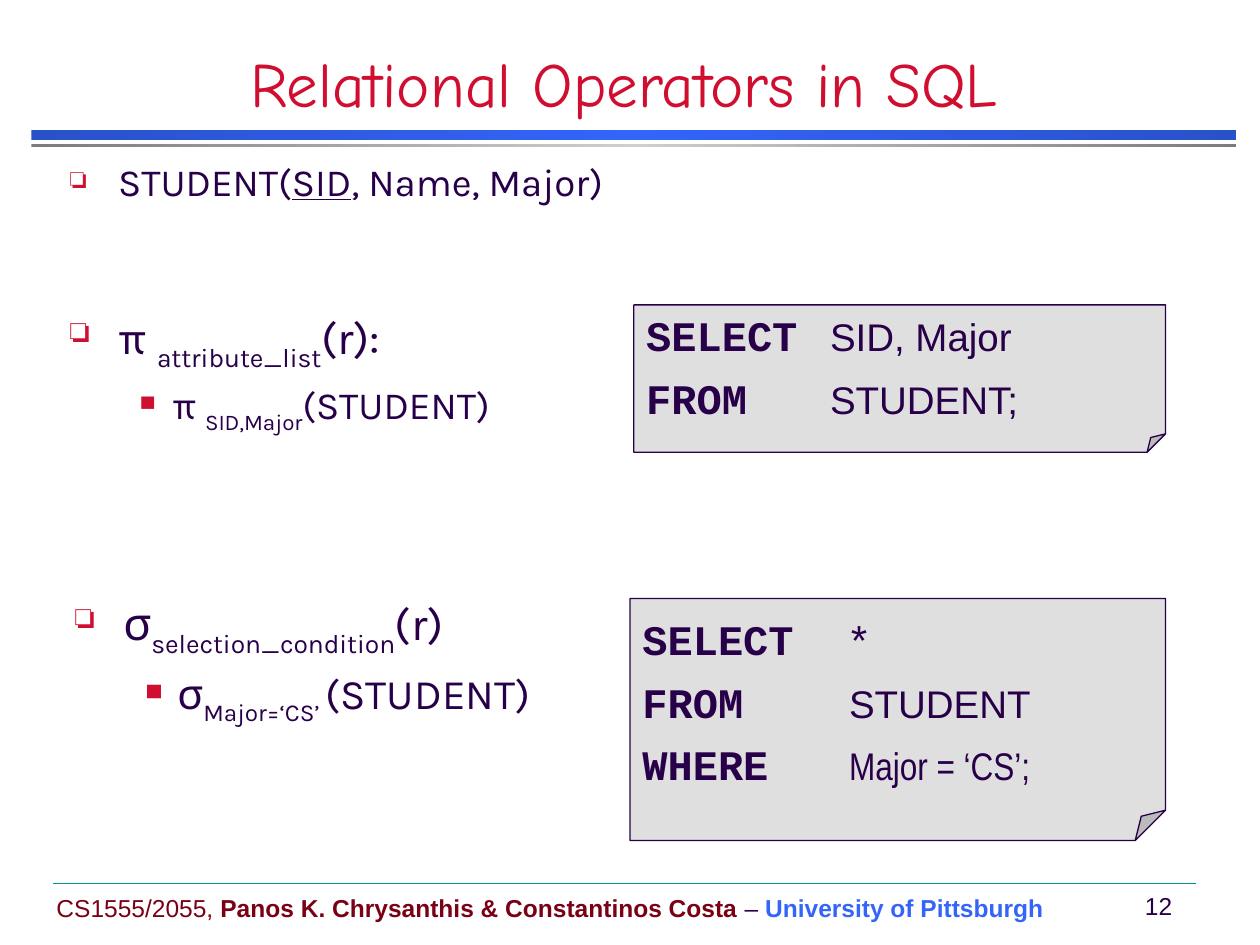
from copy import deepcopy
from dataclasses import dataclass

from lxml.etree import SubElement
from pptx import Presentation
from pptx.dml.color import RGBColor
from pptx.enum.shapes import MSO_CONNECTOR as CONN, MSO_SHAPE as SHAPE
from pptx.enum.text import MSO_ANCHOR as ANCHOR, PP_ALIGN as ALIGN
from pptx.oxml.ns import qn
from pptx.util import Inches, Pt


@dataclass(frozen=True)
class Theme:
    ink: str = "280049"
    red: str = "CF0E30"
    maroon: str = "790015"
    blue: str = "3365FB"
    dark_blue: str = "2951C9"
    gray: str = "7C7C7C"
    light_gray: str = "CECECE"
    note: str = "C0C0C0"
    teal: str = "009688"
    title_font: str = "Comic Neue"
    body_font: str = "Karla"
    greek_font: str = "Noto Sans"
    code_font: str = "Courier New"
    plain_font: str = "Arial"
    narrow_font: str = "Arial Narrow"
    title: int = 36
    large: int = 26
    keyword: int = 24
    medium: int = 22
    footer: int = 14


T = Theme()
BODY = {"name": T.body_font, "size": T.medium}
LARGE = {**BODY, "size": T.large}
GREEK = {**LARGE, "name": T.greek_font}
KEYWORD = {"name": T.code_font, "size": T.keyword, "bold": True}
PLAIN = {"name": T.plain_font, "size": T.medium}
FOOTER = {"name": T.plain_font, "size": T.footer}
SUB = {"sub": True}

# Per level: indent and hang in inches, line spacing, bullet, bullet size in percent
LEVELS = [(0.38, 0.38, 0.9, "❏", 75), (0.81, 0.31, 1.1, "▪", 100)]


def add_runs(p, runs):
    """Add (text, format) pairs; "sub" lowers a run to a subscript."""
    for text, fmt in runs:
        r = p.add_run()
        r.text = text
        for key, value in fmt.items():
            if key == "sub":
                r._r.get_or_add_rPr().set("baseline", "-30000")
            elif key != "color":
                setattr(r.font, key, Pt(value) if key == "size" else value)
        r.font.color.rgb = RGBColor.from_string(fmt.get("color", T.ink))


def add_textbox(slide, box, anchor=ANCHOR.TOP):
    tf = slide.shapes.add_textbox(*map(Inches, box)).text_frame
    tf.word_wrap = True
    tf.vertical_anchor = anchor
    return tf


def add_line_of_text(slide, box, runs, align=ALIGN.LEFT, anchor=ANCHOR.MIDDLE):
    p = add_textbox(slide, box, anchor).paragraphs[0]
    p.alignment = align
    add_runs(p, runs)


def next_paragraph(tf, index):
    return tf.add_paragraph() if index else tf.paragraphs[0]


def set_bullet(p, indent, hang, char, percent):
    pPr = p._p.get_or_add_pPr()
    pPr.set("marL", str(Inches(indent)))
    pPr.set("indent", str(-Inches(hang)))
    color = SubElement(pPr, qn("a:buClr"))
    SubElement(color, qn("a:srgbClr")).set("val", T.red)
    SubElement(pPr, qn("a:buSzPct")).set("val", str(percent * 1000))
    SubElement(pPr, qn("a:buChar")).set("char", char)


def add_bullets(slide, box, items):
    """Add one bullet per level, from the outer level inwards."""
    tf = add_textbox(slide, box)
    for i, (runs, level) in enumerate(zip(items, LEVELS)):
        indent, hang, spacing, char, percent = level
        p = next_paragraph(tf, i)
        p.level = i
        set_bullet(p, indent, hang, char, percent)
        p.line_spacing = spacing
        p.space_before = Pt(5 if i else 0)
        add_runs(p, runs)


def set_fold(sp, percent):
    """Set the fold in XML, as python-pptx lists no adjustment for this shape."""
    geometry = sp._element.spPr.find(qn("a:prstGeom"))
    guide = SubElement(geometry.get_or_add_avLst(), qn("a:gd"))
    guide.set("name", "adj")
    guide.set("fmla", f"val {int(percent * 1000)}")


def add_query(slide, box, tab, clauses):
    """Add a folded note with keywords and, at the tab, their arguments."""
    sp = slide.shapes.add_shape(SHAPE.FOLDED_CORNER, *map(Inches, box))
    sp.shadow.inherit = False
    set_fold(sp, 12.5)
    sp.fill.solid()
    sp.fill.fore_color.rgb = RGBColor.from_string(T.note)
    color = sp._element.spPr.find(qn("a:solidFill")).find(qn("a:srgbClr"))
    SubElement(color, qn("a:alpha")).set("val", "50000")
    sp.line.color.rgb = RGBColor.from_string(T.ink)
    sp.line.width = Pt(0.75)
    tf = sp.text_frame
    tf.word_wrap = True
    tf.vertical_anchor = ANCHOR.MIDDLE
    for i, (keyword, argument, fmt) in enumerate(clauses):
        p = next_paragraph(tf, i)
        tabs = SubElement(p._p.get_or_add_pPr(), qn("a:tabLst"))
        stop = SubElement(tabs, qn("a:tab"))
        stop.set("pos", str(Inches(tab)))
        stop.set("algn", "l")
        p.alignment = ALIGN.LEFT
        p.line_spacing = 0.9
        p.space_before = Pt(5 if i else 0)
        p.space_after = Pt(5)
        add_runs(p, [(keyword + "\t", KEYWORD), (argument, fmt)])


def add_gradient_bar(slide, top, height, edge, middle):
    sp = slide.shapes.add_shape(
        SHAPE.RECTANGLE, *map(Inches, (0.25, top, 9.56, height)))
    sp.shadow.inherit = False
    sp.line.fill.background()
    sp.fill.gradient()
    sp.fill.gradient_angle = 0
    stop_list = sp._element.spPr.find(qn("a:gradFill")).find(qn("a:gsLst"))
    stop_list.append(deepcopy(stop_list[0]))
    for stop, position, color in zip(
            sp.fill.gradient_stops, (0, 0.5, 1), (edge, middle, edge)):
        stop.position = position
        stop.color.rgb = RGBColor.from_string(color)


def add_footer(slide):
    rule = slide.shapes.add_connector(
        CONN.STRAIGHT, *map(Inches, (0.42, 7.01, 9.49, 7.01)))
    rule.line.color.rgb = RGBColor.from_string(T.teal)
    rule.line.width = Pt(0.25)
    SubElement(rule._element.spPr, qn("a:effectLst"))
    add_line_of_text(slide, (0.35, 7.04, 8.3, 0.33), [
        ("CS1555/2055, ", {**FOOTER, "color": T.maroon}),
        ("Panos K. Chrysanthis & Constantinos Costa",
         {**FOOTER, "color": T.maroon, "bold": True}),
        (" – ", FOOTER),
        ("University of Pittsburgh",
         {**FOOTER, "color": T.blue, "bold": True}),
    ])
    add_line_of_text(slide, (8.95, 7.02, 0.49, 0.33), [("12", FOOTER)],
                     ALIGN.CENTER)


def main():
    prs = Presentation()
    prs.slide_width, prs.slide_height = Inches(10), Inches(7.5)
    slide = prs.slides.add_slide(prs.slide_layouts[6])

    add_gradient_bar(slide, 1.03, 0.08, T.dark_blue, T.blue)
    add_gradient_bar(slide, 1.14, 0.03, T.gray, T.light_gray)
    add_footer(slide)
    title = {"name": T.title_font, "size": T.title, "color": T.red}
    add_line_of_text(slide, (0, 0.42, 9.9, 0.58),
                     [("Relational Operators in SQL", title)],
                     ALIGN.CENTER, ANCHOR.BOTTOM)

    add_bullets(slide, (0.46, 1.25, 9.08, 0.5), [
        [("STUDENT(", BODY), ("SID", {**BODY, "underline": True}),
         (", Name, Major)", BODY)]])
    add_bullets(slide, (0.46, 2.4, 4.5, 1.1), [
        [("π ", LARGE), ("attribute_list", {**LARGE, **SUB}), ("(r):", LARGE)],
        [("π ", BODY), ("SID,Major", {**BODY, **SUB}), ("(STUDENT)", BODY)]])
    inner = {**BODY, "size": T.keyword}
    add_bullets(slide, (0.5, 4.67, 4.45, 1.3), [
        [("σ", GREEK), ("selection_condition", {**LARGE, **SUB}), ("(r)", LARGE)],
        [("σ", {**GREEK, "size": T.keyword}),
         ("Major=‘CS’ ", {**inner, **SUB}), ("(STUDENT)", inner)]])

    add_query(slide, (5.03, 2.42, 4.22, 1.17), 1.46, [
        ("SELECT", "SID, Major", PLAIN), ("FROM", "STUDENT;", PLAIN)])
    add_query(slide, (5, 4.75, 4.25, 1.92), 1.64, [
        ("SELECT", "*", {**PLAIN, "size": T.keyword, "italic": True}),
        ("FROM", "STUDENT", PLAIN),
        ("WHERE", "Major = ‘CS’;", {**PLAIN, "name": T.narrow_font})])
    prs.save("out.pptx")


if __name__ == "__main__":
    main()
